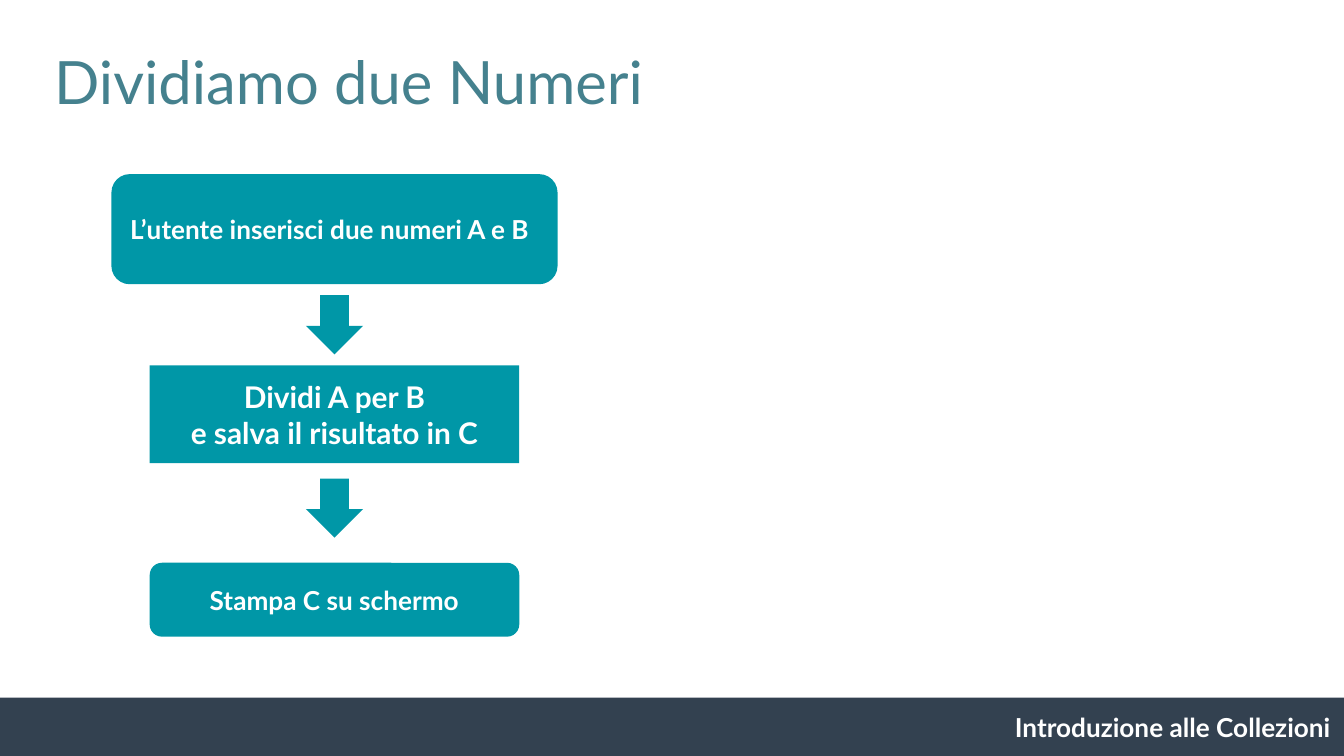
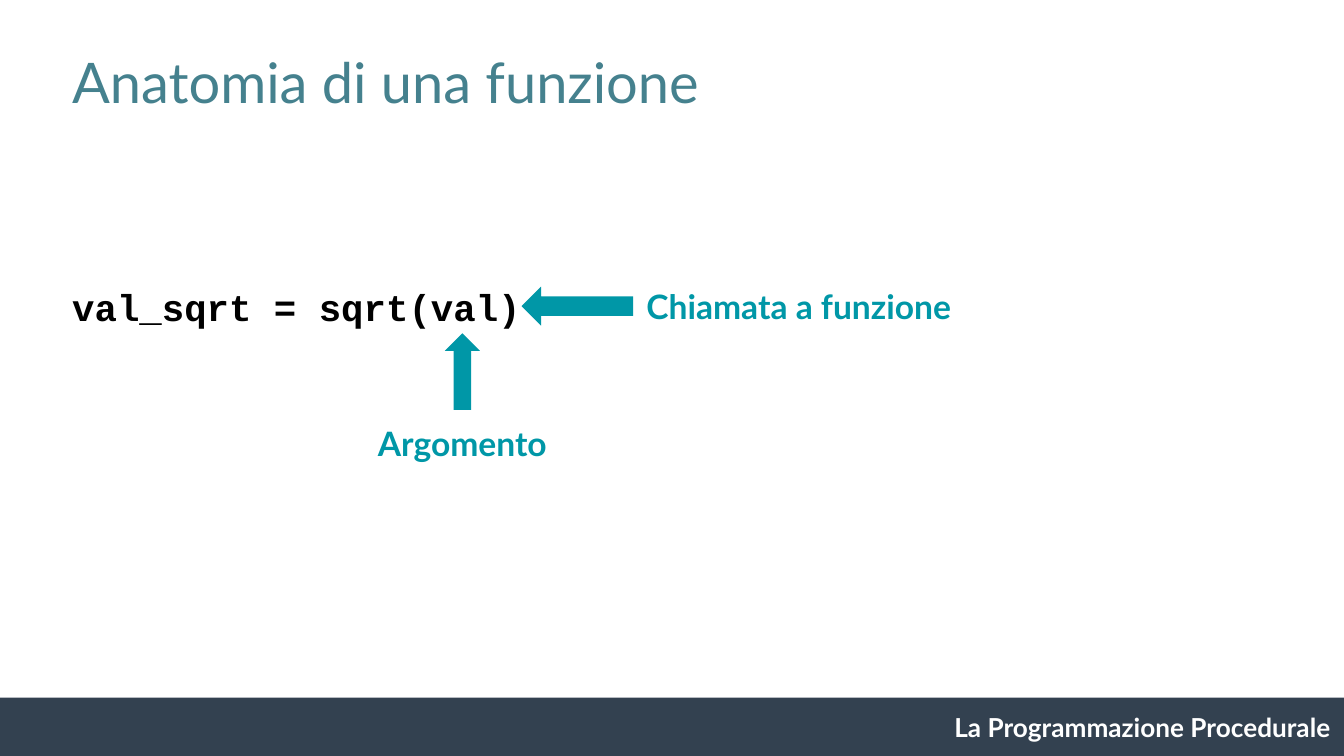
"""Two lesson slides: a division flowchart and the anatomy of a function call."""
from dataclasses import dataclass

from pptx import Presentation
from pptx.dml.color import RGBColor
from pptx.enum.shapes import MSO_SHAPE
from pptx.enum.text import MSO_ANCHOR, PP_ALIGN
from pptx.util import Pt

RECTANGLE = MSO_SHAPE.RECTANGLE
ROUNDED = MSO_SHAPE.ROUNDED_RECTANGLE
DOWN, LEFTWARD, UP = MSO_SHAPE.DOWN_ARROW, MSO_SHAPE.LEFT_ARROW, MSO_SHAPE.UP_ARROW
LEFT, CENTER, RIGHT = PP_ALIGN.LEFT, PP_ALIGN.CENTER, PP_ALIGN.RIGHT
TOP, MIDDLE, BOTTOM = MSO_ANCHOR.TOP, MSO_ANCHOR.MIDDLE, MSO_ANCHOR.BOTTOM


@dataclass(frozen=True)
class Theme:
    """Page size, colours, fonts and type sizes shared by the slides."""
    width: float = 720
    height: float = 405
    inset: float = 7.2
    band_top: float = 373.8
    band: str = "334150"
    title: str = "45818E"
    accent: str = "0097A7"
    white: str = "FFFFFF"
    black: str = "000000"
    font: str = "Lato"
    code_font: str = "Courier New"
    small: float = 14
    step: float = 16
    label: float = 18
    code: float = 20


THEME = Theme()


def write(shape, text, size, color, bold=True, align=LEFT, anchor=TOP, font=THEME.font):
    """Put formatted text, one paragraph per line, into a shape."""
    frame = shape.text_frame
    frame.word_wrap = True
    frame.vertical_anchor = anchor
    frame.margin_left = frame.margin_right = Pt(THEME.inset)
    frame.margin_top = frame.margin_bottom = Pt(THEME.inset)
    frame.text = text
    for para in frame.paragraphs:
        para.alignment = align
        for span in para.runs:
            span.font.name = font
            span.font.size = Pt(size)
            span.font.bold = bold
            span.font.color.rgb = RGBColor.from_string(color)


def add_text(page, area, text, size, color, **style):
    """Add a text box at area (left, top, width, height)."""
    box = page.shapes.add_textbox(*map(Pt, area))
    write(box, text, size, color, **style)


def add_block(page, kind, area, color=THEME.accent):
    """Add a flat filled shape without outline or shadow."""
    block = page.shapes.add_shape(kind, *map(Pt, area))
    block.shadow.inherit = False
    block.fill.solid()
    block.fill.fore_color.rgb = RGBColor.from_string(color)
    block.line.fill.background()
    return block


def add_page(deck, title, title_area, title_size, footer):
    """Add a blank page with its footer band and title."""
    page = deck.slides.add_slide(deck.slide_layouts[6])
    band_area = (0, THEME.band_top, THEME.width, THEME.height - THEME.band_top)
    add_block(page, RECTANGLE, band_area, THEME.band)
    add_text(page, (THEME.width - 250, THEME.band_top, 250, 31.2), footer,
             THEME.small, THEME.white, align=RIGHT)
    add_text(page, title_area, title, title_size, THEME.title, bold=False)
    return page


def add_flowchart(page, center, steps, arrow_tops):
    """Stack steps and arrows around one vertical axis."""
    for kind, top, width, height, text, size, align in steps:
        block = add_block(page, kind, (center - width / 2, top, width, height))
        write(block, text, size, THEME.white, align=align, anchor=MIDDLE)
    for top in arrow_tops:
        add_block(page, DOWN, (center - 15.3, top, 30.6, 31.7))


def build_division(deck):
    """Build the flowchart that divides two numbers."""
    page = add_page(deck, "Dividiamo due Numeri", (21.9, 16.6, 415, 53), 32,
                    "Introduzione alle Collezioni")
    steps = [
        (ROUNDED, 93.3, 239, 59, "L’utente inserisci due numeri A e B", THEME.small, LEFT),
        (RECTANGLE, 195.7, 198, 52.4, "Dividi A per B\ne salva il risultato in C",
         THEME.step, CENTER),
        (ROUNDED, 301.5, 198, 39.6, "Stampa C su schermo", THEME.small, CENTER),
    ]
    add_flowchart(page, 179.2, steps, (158.2, 256.4))


def build_function(deck):
    """Build the labelled function call."""
    page = add_page(deck, "Anatomia di una funzione", (31.6, 18, 566.6, 51), 30,
                    "La Programmazione Procedurale")
    add_text(page, (31.6, 118, 556, 65.6), "val_sqrt = sqrt(val)", THEME.code,
             THEME.black, anchor=BOTTOM, font=THEME.code_font)
    add_block(page, LEFTWARD, (279.4, 153.5, 59.8, 21))
    add_text(page, (339.2, 146.2, 183.6, 36), "Chiamata a funzione",
             THEME.label, THEME.accent)
    add_block(page, UP, (238.3, 178.6, 18.8, 41))
    add_text(page, (180.7, 219.6, 134, 36), "Argomento",
             THEME.label, THEME.accent, align=CENTER)


def main():
    """Build the deck and save it."""
    deck = Presentation()
    deck.slide_width, deck.slide_height = Pt(THEME.width), Pt(THEME.height)
    build_division(deck)
    build_function(deck)
    deck.save("out.pptx")


if __name__ == "__main__":
    main()
